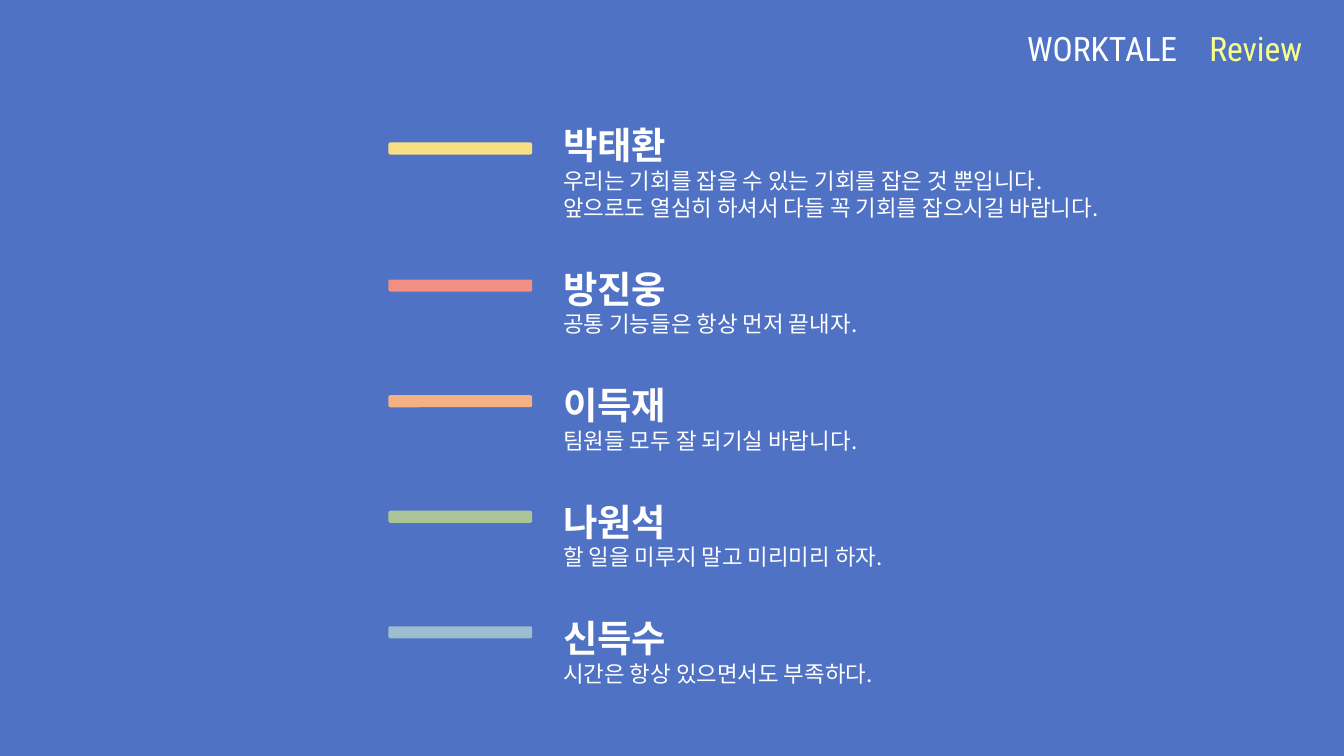
from dataclasses import dataclass

from lxml import etree
from pptx import Presentation
from pptx import util as u
from pptx.dml.color import RGBColor
from pptx.enum import shapes, text
from pptx.oxml import ns

BACKGROUND = RGBColor(0x50, 0x72, 0xC4)
WHITE = RGBColor(0xFF, 0xFF, 0xFF)
ACCENT = RGBColor(0xF7, 0xFF, 0x89)
YELLOW = RGBColor(0xF9, 0xDF, 0x84)
RED = RGBColor(0xF2, 0x8E, 0x83)
ORANGE = RGBColor(0xF4, 0xB1, 0x83)
GREEN = RGBColor(0xAC, 0xC4, 0x99)
BLUE = RGBColor(0x9C, 0xBE, 0xCE)

KOREAN_FONT = "Noto Sans CJK KR"
HEADER_FONT = "Roboto Condensed"
FIRST_BAR_TOP = 1.06
SECOND_BAR_TOP = 2.08
BAR_STEP = 0.86


@dataclass(frozen=True)
class Review:
    name: str
    comments: tuple[str, ...]
    color: RGBColor


REVIEWS = (
    Review("박태환", ("우리는 기회를 잡을 수 있는 기회를 잡은 것 뿐입니다.",
                   "앞으로도 열심히 하셔서 다들 꼭 기회를 잡으시길 바랍니다."), YELLOW),
    Review("방진웅", ("공통 기능들은 항상 먼저 끝내자.",), RED),
    Review("이득재", ("팀원들 모두 잘 되기실 바랍니다.",), ORANGE),
    Review("나원석", ("할 일을 미루지 말고 미리미리 하자.",), GREEN),
    Review("신득수", ("시간은 항상 있으면서도 부족하다.",), BLUE),
)


def add_text(paragraph, content: str, *, size: float, font: str,
             color: RGBColor = WHITE, bold: bool = False, tracking: float = 0) -> None:
    """Append a run; tracking is extra letter spacing in points."""
    run = paragraph.add_run()
    run.text = content
    run.font.size = u.Pt(size)
    run.font.name = font
    run.font.bold = bold
    run.font.color.rgb = color
    properties = run.font._element
    etree.SubElement(properties, ns.qn("a:ea")).set("typeface", font)
    if tracking:
        properties.set("spc", str(int(tracking * 100)))


def place(shape, left: float, top: float, width: float, height: float) -> None:
    shape.left, shape.top = u.Inches(left), u.Inches(top)
    shape.width, shape.height = u.Inches(width), u.Inches(height)
    shape.text_frame.auto_size = text.MSO_AUTO_SIZE.NONE
    shape.text_frame.word_wrap = True
    shape.text_frame.vertical_anchor = text.MSO_ANCHOR.TOP


def add_bar(slide, top: float, color: RGBColor) -> None:
    bar = slide.shapes.add_shape(shapes.MSO_SHAPE.ROUNDED_RECTANGLE, u.Inches(2.89),
                                 u.Inches(top), u.Inches(1.07), u.Inches(0.09))
    bar.shadow.inherit = False
    bar.fill.solid()
    bar.fill.fore_color.rgb = color
    bar.line.fill.background()


def add_line(paragraph, content: str, *, size: float, space_before: float = 0,
             bold: bool = False) -> None:
    """Fill one unbulleted line of the review list."""
    paragraph.space_before = u.Pt(space_before)
    paragraph.line_spacing = u.Pt(size * 1.2)
    properties = paragraph._p.get_or_add_pPr()
    properties.set("marL", "0")
    properties.set("indent", "0")
    etree.SubElement(properties, ns.qn("a:buNone"))
    add_text(paragraph, content, size=size, font=KOREAN_FONT, bold=bold)


def fill_header(title) -> None:
    place(title, 6.72, 0.16, 3.07, 0.4)
    paragraph = title.text_frame.paragraphs[0]
    paragraph.alignment = text.PP_ALIGN.RIGHT
    add_text(paragraph, "WORKTALE", size=18, font=HEADER_FONT)
    add_text(paragraph, " ", size=18, font=HEADER_FONT, tracking=13)
    add_text(paragraph, "Review", size=18, font=HEADER_FONT, color=ACCENT)


def fill_reviews(body) -> None:
    place(body, 4.09, 0.86, 5.21, 4.48)
    frame = body.text_frame
    for index, review in enumerate(REVIEWS):
        paragraph = frame.add_paragraph() if index else frame.paragraphs[0]
        add_line(paragraph, review.name, size=20, bold=True,
                 space_before=24 if index else 0)
        for comment in review.comments:
            add_line(frame.add_paragraph(), comment, size=12)


def main() -> None:
    presentation = Presentation()
    presentation.slide_width = u.Inches(10)
    presentation.slide_height = u.Inches(10 * 9 / 16)
    slide = presentation.slides.add_slide(presentation.slide_layouts[1])
    slide.background.fill.solid()
    slide.background.fill.fore_color.rgb = BACKGROUND

    for index, review in enumerate(REVIEWS):
        top = SECOND_BAR_TOP + (index - 1) * BAR_STEP if index else FIRST_BAR_TOP
        add_bar(slide, top, review.color)
    fill_reviews(slide.placeholders[1])
    fill_header(slide.shapes.title)
    presentation.save("out.pptx")


if __name__ == "__main__":
    main()
